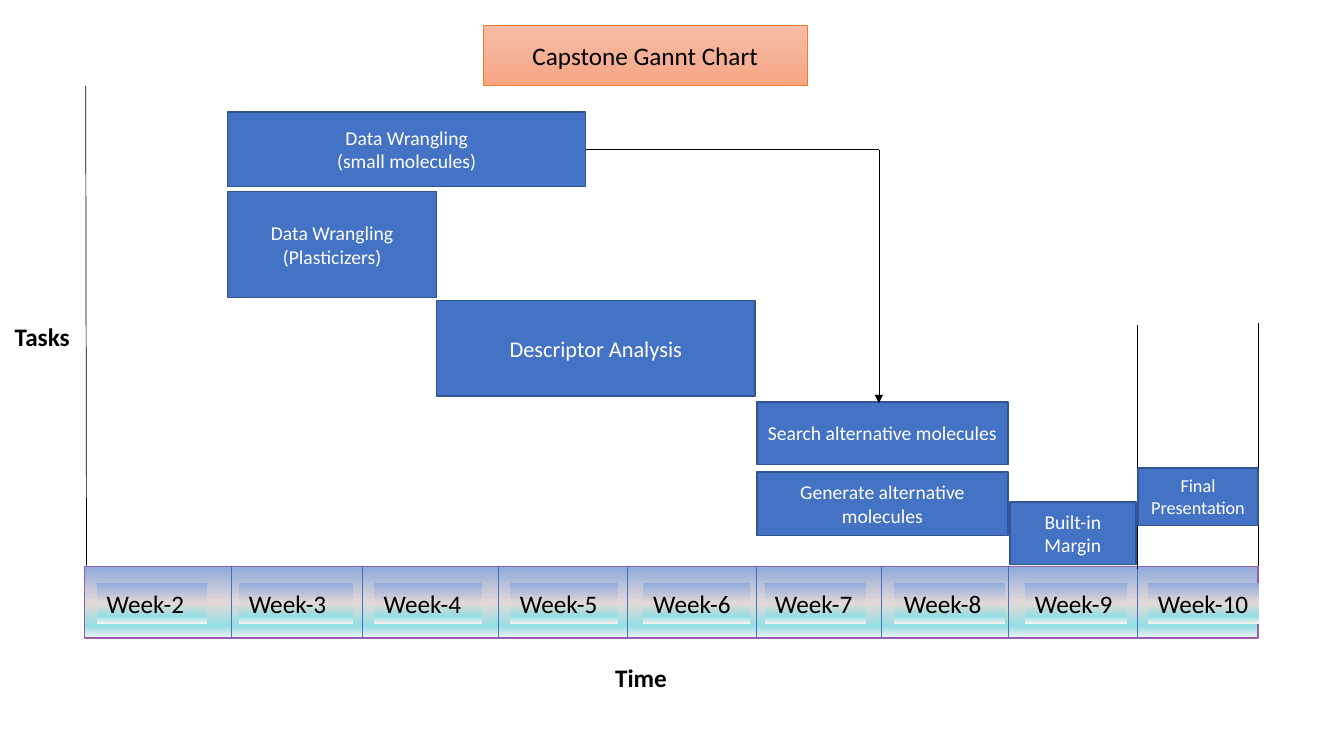
"""Build a Gantt chart slide for a capstone project."""
from lxml.etree import SubElement
from pptx import Presentation
from pptx.dml.color import RGBColor
from pptx.enum.shapes import MSO_CONNECTOR as Link, MSO_SHAPE as Preset
from pptx.enum.text import MSO_ANCHOR as Anchor, MSO_AUTO_SIZE as AutoSize, PP_ALIGN as Align
from pptx.oxml.ns import qn
from pptx.util import Cm, Pt

BLACK, WHITE, BLUE, NAVY = "000000", "FFFFFF", "4472C4", "325491"
WEEK_STOPS = [(0, "8FAADC"), (51, "E4D9D7"), (83, "93DEE4"), (100, "F2F2F2")]
TITLE_STOPS = [(0, "F7BDA5"), (50, "F5B196"), (100, "F8A582")]
BAND_LEFT, BAND_TOP, BAND_WIDTH, BAND_HEIGHT = 2.13, 14.27, 29.57, 1.81
DIVIDERS = [5.84, 9.14, 12.55, 15.82, 19.05, 22.2, 25.4, 28.65]
WEEKS = [(2.44, 2.77), (6.02, 2.87), (9.42, 2.74), (12.85, 2.72), (16.21, 2.69),
         (19.28, 2.54), (22.53, 2.79), (25.83, 2.57), (28.93, 2.79)]
TASKS = [
    (["Final Presentation"], 13, (28.68, 11.79, 3.02, 1.45)),
    (["Data Wrangling", "(Plasticizers)"], 14, (5.74, 4.83, 5.26, 2.67)),
    (["Descriptor Analysis"], 16, (11, 7.57, 8.03, 2.41)),
    (["Search alternative molecules"], 14, (19.08, 10.13, 6.32, 1.57)),
    (["Data Wrangling", "(small molecules)"], 14, (5.74, 2.82, 9.02, 1.88)),
    (["Generate alternative molecules"], 14, (19.08, 11.89, 6.32, 1.6)),
    (["Built-in Margin"], 14, (25.45, 12.65, 3.18, 1.57)),
]


def color(value):
    """Turn a hex string into a colour."""
    return RGBColor.from_string(value)


def paint_gradient(box, stops):
    """Fill a box from top to bottom with the given colour stops."""
    box.fill.gradient()
    box.fill.gradient_angle = 270
    stop_list = box.element.spPr.find(".//" + qn("a:gsLst"))
    for old in list(stop_list):
        stop_list.remove(old)
    for percent, value in stops:
        stop = SubElement(stop_list, qn("a:gs"), pos=str(percent * 1000))
        SubElement(stop, qn("a:srgbClr"), val=value)


def outline(box, value, width):
    """Give a box a solid outline."""
    box.line.color.rgb = color(value)
    box.line.width = Pt(width)


def write(box, lines, size, value, align=Align.CENTER, bold=False, wrap=True):
    """Write one paragraph for each line of text."""
    frame = box.text_frame
    frame.auto_size = AutoSize.NONE
    frame.word_wrap = wrap
    frame.vertical_anchor = Anchor.MIDDLE
    for index, line in enumerate(lines):
        para = frame.add_paragraph() if index else frame.paragraphs[0]
        para.alignment = align
        span = para.add_run()
        span.text = line
        span.font.name, span.font.size, span.font.bold = "Calibri", Pt(size), bold
        span.font.color.rgb = color(value)


def add_box(page, place):
    """Add a plain rectangle without a shadow."""
    box = page.shapes.add_shape(Preset.RECTANGLE, *map(Cm, place))
    box.shadow.inherit = False
    return box


def add_title(page, text, place):
    """Place and style the slide title."""
    title = page.shapes.title
    title.left, title.top, title.width, title.height = map(Cm, place)
    paint_gradient(title, TITLE_STOPS)
    outline(title, "ED7D31", 0.5)
    write(title, [text], 18, BLACK)


def add_line(page, start, end, value=BLACK, arrow=False):
    """Draw a thin straight line, with an arrowhead at its end if wanted."""
    line = page.shapes.add_connector(Link.STRAIGHT, *map(Cm, start + end))
    outline(line, value, 0.5)
    if arrow:
        SubElement(line.line._get_or_add_ln(), qn("a:tailEnd"), type="triangle")
    SubElement(line.element.spPr, qn("a:effectLst"))


def add_axis_name(page, text, left, top):
    """Add the bold name of an axis."""
    box = page.shapes.add_textbox(*map(Cm, (left, top, 2.79, 1.07)))
    write(box, [text], 18, BLACK, bold=True)


def add_timeline(page):
    """Draw the band of weeks with its dividers and labels."""
    band = add_box(page, (BAND_LEFT, BAND_TOP, BAND_WIDTH, BAND_HEIGHT))
    paint_gradient(band, WEEK_STOPS)
    outline(band, "985DAD", 1)
    for x in DIVIDERS:
        add_line(page, (x, BAND_TOP), (x, BAND_TOP + BAND_HEIGHT), BLUE)
    for number, (left, width) in enumerate(WEEKS, start=2):
        label = add_box(page, (left, 14.68, width, 1.03))
        paint_gradient(label, WEEK_STOPS)
        label.line.fill.background()
        write(label, [f"Week-{number}"], 18, BLACK, Align.LEFT, wrap=False)


def add_task(page, lines, size, place):
    """Add the bar of one task."""
    bar = add_box(page, place)
    bar.fill.solid()
    bar.fill.fore_color.rgb = color(BLUE)
    outline(bar, NAVY, 1)
    write(bar, lines, size, WHITE)


def main():
    """Build and save the slide."""
    deck = Presentation()
    deck.slide_width, deck.slide_height = Cm(33.87), Cm(19.05)
    page = deck.slides.add_slide(deck.slide_layouts[5])
    add_title(page, "Capstone Gannt Chart", (12.17, 0.64, 8.18, 1.52))
    add_timeline(page)
    add_line(page, (31.72, 14.25), (31.72, 8.13))
    add_line(page, (28.65, 14.33), (28.65, 8.2))
    add_line(page, (2.18, 14.25), (2.16, 2.16))
    add_axis_name(page, "Tasks", -0.33, 7.95)
    add_axis_name(page, "Time", 14.76, 16.54)
    for task in TASKS:
        add_task(page, *task)
    add_line(page, (14.76, 3.77), (22.15, 3.77))
    add_line(page, (22.15, 3.77), (22.15, 10.16), arrow=True)
    deck.save("out.pptx")


main()
